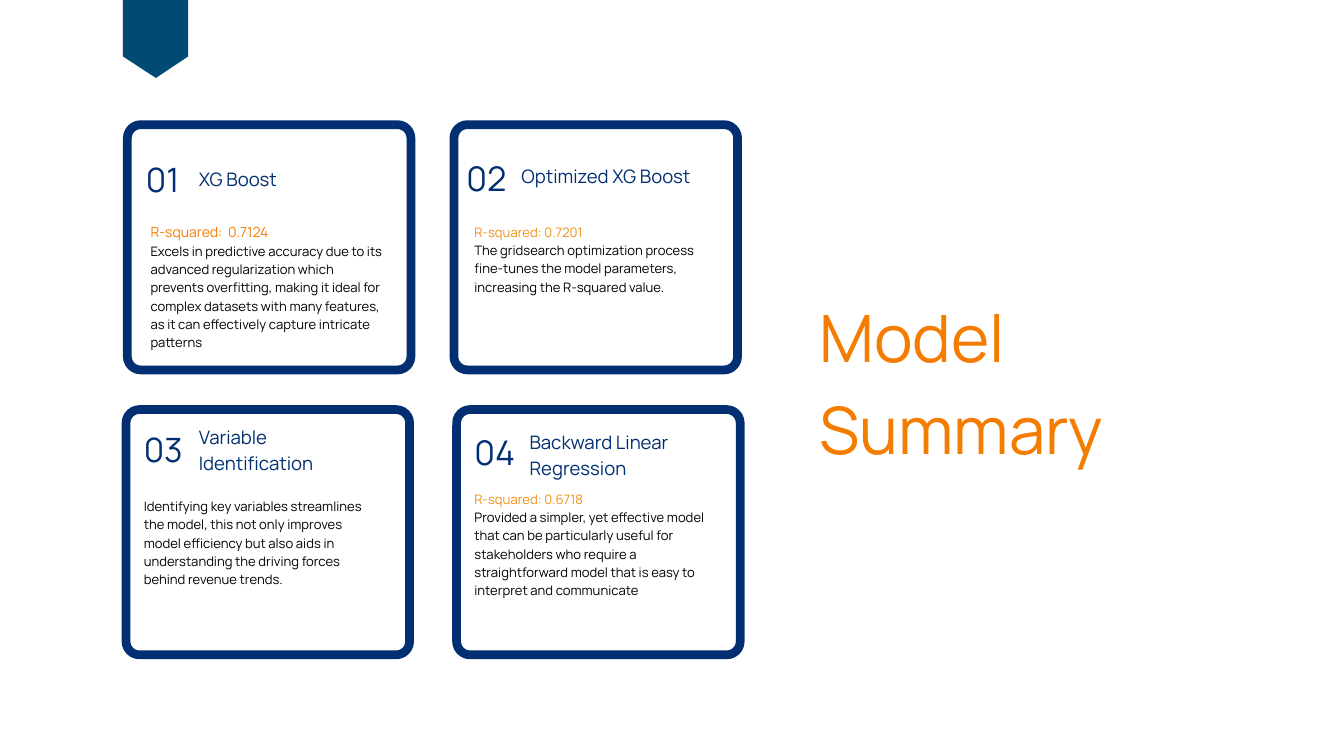
from dataclasses import dataclass
from typing import Optional

import pptx
import pptx.dml.color
import pptx.enum.shapes
import pptx.enum.text
import pptx.util

Inches = pptx.util.Inches
Pt = pptx.util.Pt

FONT = "Manrope"
COLORS = {
    "navy": "012F71",
    "ribbon": "014A74",
    "orange": "F47C00",
    "amber": "F09113",
    "black": "000000",
}
CARD_WIDTH, CARD_HEIGHT, BORDER, CORNER = 4.35, 3.78, 0.13, 0.2


@dataclass(frozen=True)
class Line:
    text: str
    size: float
    color: str
    spacing: float


@dataclass(frozen=True)
class Box:
    left: float
    top: float
    width: float
    height: float


@dataclass(frozen=True)
class Card:
    left: float
    top: float
    number: str
    number_size: float
    number_box: Box
    heading: str
    heading_box: Box
    body: str
    body_box: Box
    score: Optional[Line] = None


CARDS = [
    Card(1.83, 1.79, "01", 35.9, Box(2.17, 2.26, 0.85, 0.67),
         "XG Boost", Box(2.96, 2.44, 2.45, 0.35),
         "Excels in predictive accuracy due to its advanced regularization which prevents "
         "overfitting, making it ideal for complex datasets with many features, as it can "
         "effectively capture intricate patterns",
         Box(2.24, 3.29, 3.53, 1.92),
         Line("R-squared:  0.7124", 15, "orange", 21)),
    Card(6.69, 1.79, "02", 36.4, Box(6.94, 2.25, 0.82, 0.67),
         "Optimized XG Boost", Box(7.76, 2.4, 3.01, 0.39),
         "The gridsearch optimization process fine-tunes the model parameters, increasing "
         "the R-squared value.",
         Box(7.06, 3.3, 3.53, 1.39),
         Line("R-squared: 0.7201", 14, "amber", 19.6)),
    Card(1.81, 6.03, "03", 35.9, Box(2.14, 6.29, 0.85, 0.67),
         "Variable Identification", Box(2.96, 6.28, 2.45, 0.73),
         "Identifying key variables streamlines the model, this not only improves model "
         "efficiency but also aids in understanding the driving forces behind revenue trends.",
         Box(2.14, 7.38, 3.53, 1.35)),
    Card(6.73, 6.03, "04", 36.4, Box(7.06, 6.32, 0.82, 0.67),
         "Backward Linear Regression", Box(7.88, 6.36, 2.45, 0.73),
         "Provided a simpler, yet effective model that can be particularly useful for "
         "stakeholders who require a straightforward model that is easy to interpret and "
         "communicate",
         Box(7.06, 7.27, 3.53, 1.62),
         Line("R-squared: 0.6718", 14, "amber", 19.6)),
]


def color(name: str) -> pptx.dml.color.RGBColor:
    return pptx.dml.color.RGBColor.from_string(COLORS[name])


def write_lines(shape, lines: list[Line]) -> None:
    frame = shape.text_frame
    frame.word_wrap = True
    frame.auto_size = pptx.enum.text.MSO_AUTO_SIZE.NONE
    frame.vertical_anchor = pptx.enum.text.MSO_ANCHOR.TOP
    frame.margin_left = frame.margin_right = frame.margin_top = frame.margin_bottom = 0
    for index, line in enumerate(lines):
        paragraph = frame.add_paragraph() if index else frame.paragraphs[0]
        paragraph.alignment = pptx.enum.text.PP_ALIGN.LEFT
        paragraph.line_spacing = Pt(line.spacing)
        run = paragraph.add_run()
        run.text = line.text
        run.font.name = FONT
        run.font.size = Pt(line.size)
        run.font.color.rgb = color(line.color)


def add_text(slide, box: Box, lines: list[Line]) -> None:
    shape = slide.shapes.add_textbox(
        Inches(box.left), Inches(box.top), Inches(box.width), Inches(box.height))
    write_lines(shape, lines)


def add_frame(slide, left: float, top: float) -> None:
    width, height = CARD_WIDTH - BORDER, CARD_HEIGHT - BORDER
    shape = slide.shapes.add_shape(
        pptx.enum.shapes.MSO_SHAPE.ROUNDED_RECTANGLE,
        Inches(left + BORDER / 2), Inches(top + BORDER / 2), Inches(width), Inches(height))
    shape.adjustments[0] = CORNER / height
    shape.shadow.inherit = False
    shape.fill.background()
    shape.line.color.rgb = color("navy")
    shape.line.width = Inches(BORDER)


def add_card(slide, card: Card) -> None:
    add_frame(slide, card.left, card.top)
    add_text(slide, card.number_box,
             [Line(card.number, card.number_size, "navy", round(card.number_size * 1.4, 1))])
    add_text(slide, card.heading_box, [Line(card.heading, 19.9, "navy", 27.9)])
    body = Line(card.body, 14, "black", 19.6)
    add_text(slide, card.body_box, [card.score, body] if card.score else [body])


def add_ribbon(slide) -> None:
    left, middle, right = Inches(1.83), Inches(2.32), Inches(2.8)
    top, notch, tip = Inches(-0.02), Inches(0.84), Inches(1.16)
    builder = slide.shapes.build_freeform(left, top)
    builder.add_line_segments(
        [(left, notch), (middle, tip), (right, notch), (right, top)], close=True)
    shape = builder.convert_to_shape()
    shape.shadow.inherit = False
    shape.fill.solid()
    shape.fill.fore_color.rgb = color("ribbon")
    shape.line.fill.background()


def add_title(slide) -> None:
    title = slide.shapes.title
    title.left, title.top = Inches(12.19), Inches(4.23)
    title.width, title.height = Inches(6.68), Inches(2.75)
    write_lines(title, [Line("Model Summary", 70, "orange", 98)])


def main() -> None:
    presentation = pptx.Presentation()
    presentation.slide_width = Inches(20)
    presentation.slide_height = Inches(11.25)
    slide = presentation.slides.add_slide(
        presentation.slide_layouts.get_by_name("Title Only"))
    for card in CARDS:
        add_card(slide, card)
    add_ribbon(slide)
    add_title(slide)
    presentation.save("out.pptx")


if __name__ == "__main__":
    main()
